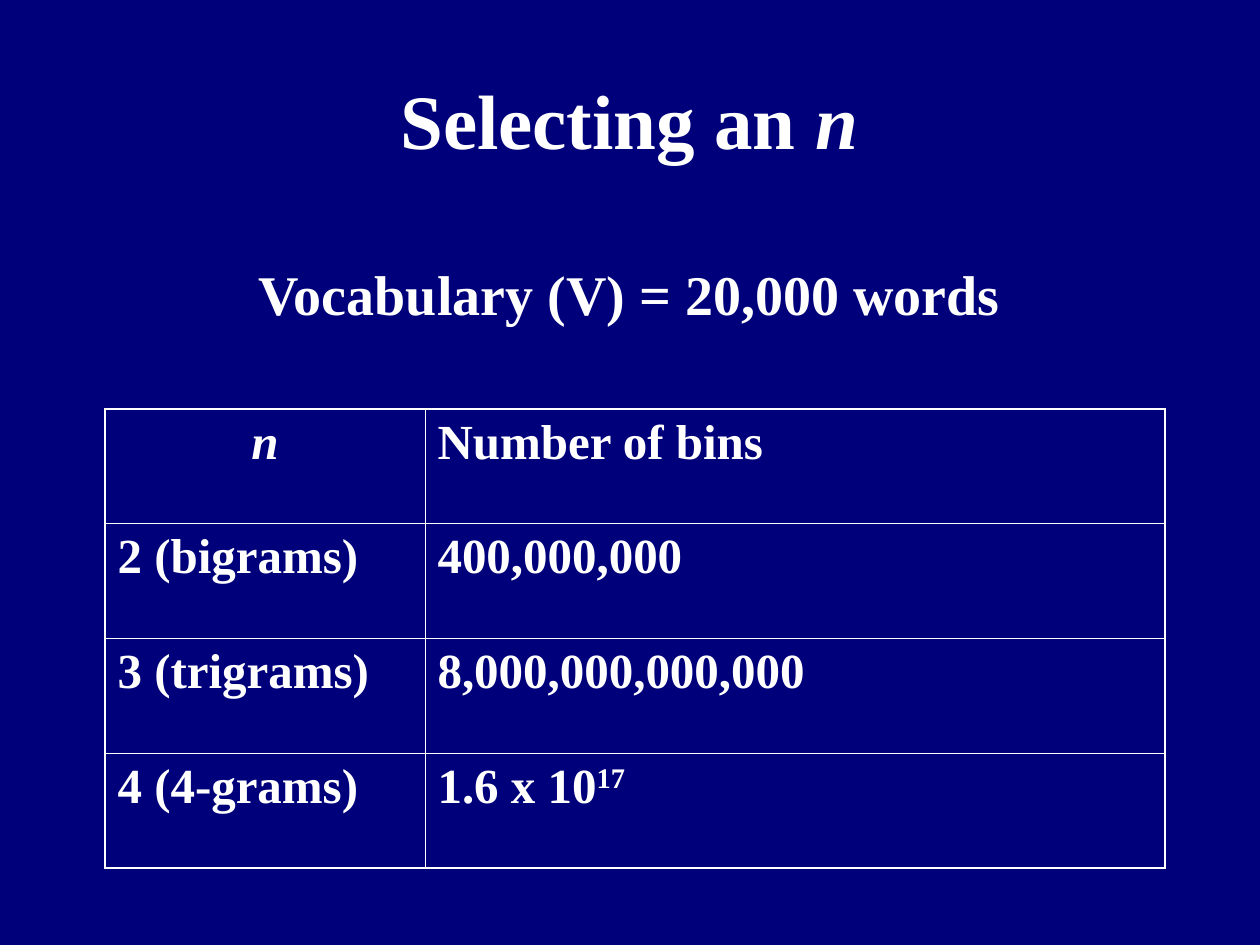
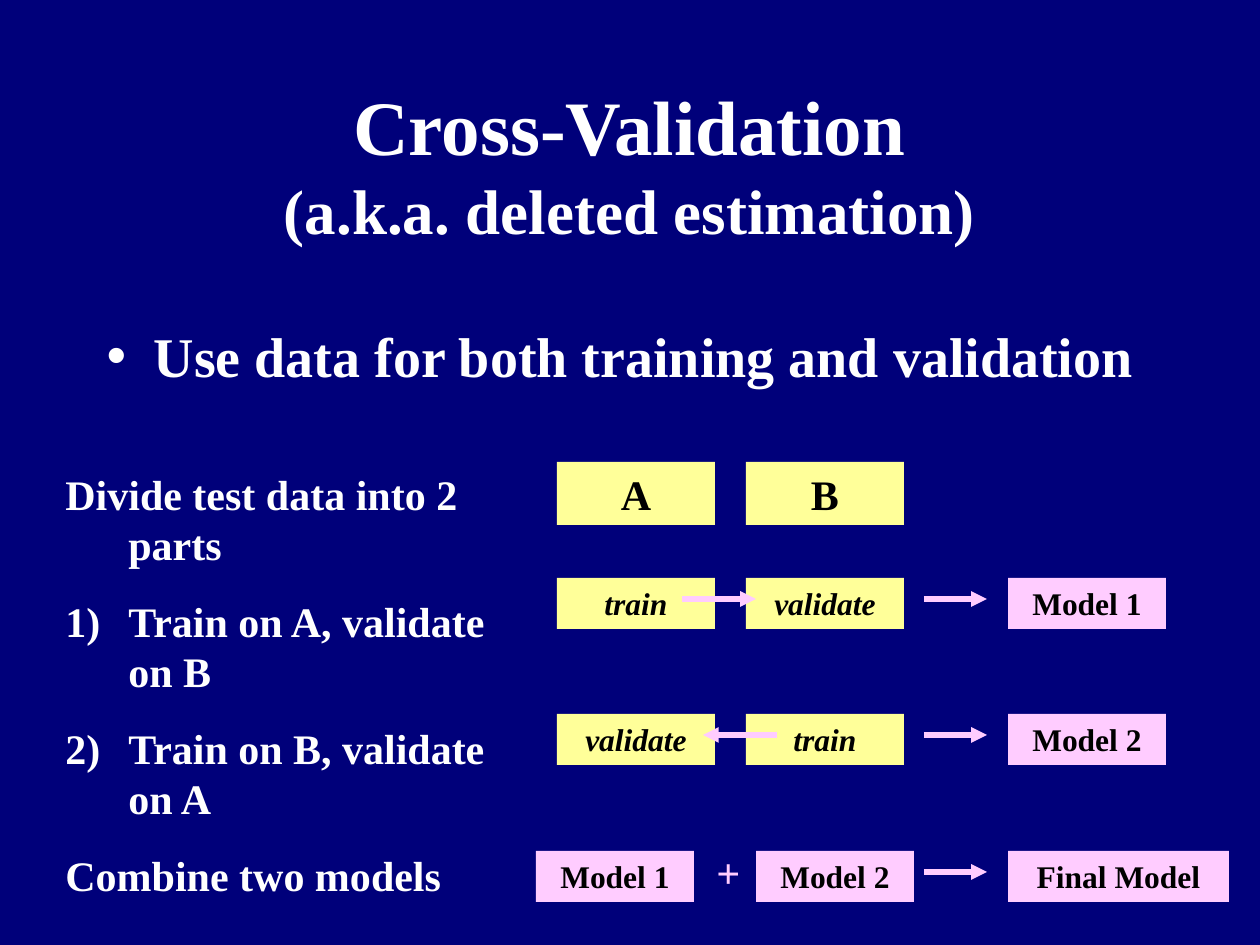
"""Build two slides on n-gram bins and cross-validation."""
from dataclasses import dataclass
from typing import Any

from lxml.etree import SubElement
from pptx import Presentation
from pptx.dml.color import RGBColor
from pptx.enum.shapes import MSO_CONNECTOR, MSO_SHAPE
from pptx.enum.text import MSO_ANCHOR, MSO_AUTO_SIZE, PP_ALIGN
from pptx.oxml.ns import qn
from pptx.util import Emu, Pt


@dataclass(frozen=True)
class Theme:
    font: str = "Times New Roman"
    navy: str = "00007A"
    white: str = "FFFFFF"
    black: str = "000000"
    yellow: str = "FFFF99"
    pink: str = "FFCCFF"
    head: int = 44
    sub: int = 36
    lead: int = 32
    cell: int = 28
    text: int = 24
    label: int = 18
    thick: float = 1.08
    thin: float = 0.45
    arrow: int = 3


LOOK = Theme()
SCALE = 914400 / 126


@dataclass(frozen=True)
class Run:
    text: str
    slant: bool = False
    raised: bool = False


@dataclass(frozen=True)
class Para:
    runs: tuple[Run, ...]
    size: int
    before: float = 0
    align: PP_ALIGN = PP_ALIGN.LEFT
    color: str = LOOK.white
    hang: int = 0
    mark: str = ""


@dataclass(frozen=True)
class Area:
    left: int
    top: int
    width: int
    height: int

    def emu(self) -> tuple[Emu, ...]:
        return tuple(map(px, (self.left, self.top, self.width, self.height)))


@dataclass(frozen=True)
class Box:
    area: Area
    text: str
    fill: str
    size: int = LOOK.label
    slant: bool = False


@dataclass(frozen=True)
class Arrow:
    start: int
    end: int
    top: int


def px(count: int) -> Emu:
    return Emu(round(count * SCALE))


def rgb(code: str) -> RGBColor:
    return RGBColor.from_string(code)


def plain(text: str, size: int, **style: Any) -> Para:
    return Para((Run(text),), size, **style)


def write(frame: Any, paras: list[Para]) -> None:
    frame.word_wrap = True
    for index, item in enumerate(paras):
        para = frame.add_paragraph() if index else frame.paragraphs[0]
        para.alignment = item.align
        para.space_before = Pt(item.before)
        font = para.font
        font.name, font.size, font.bold = LOOK.font, Pt(item.size), True
        font.color.rgb = rgb(item.color)
        if len({run.slant for run in item.runs}) == 1:
            font.italic = item.runs[0].slant
        for piece in item.runs:
            run = para.add_run()
            run.text = piece.text
            if piece.slant and len(item.runs) > 1:
                run.font.italic = True
            if piece.raised:
                run._r.get_or_add_rPr().set("baseline", "30000")
        if item.hang:
            indent(para, item)


def indent(para: Any, item: Para) -> None:
    props = para._p.get_or_add_pPr()
    props.set("marL", str(px(item.hang)))
    props.set("indent", str(-px(item.hang)))
    if item.mark == "1)":
        mark = props.makeelement(qn("a:buAutoNum"), {"type": "arabicParenR"})
    elif item.mark:
        mark = props.makeelement(qn("a:buChar"), {"char": item.mark})
    else:
        mark = props.makeelement(qn("a:buNone"), {})
    props.find(qn("a:defRPr")).addprevious(mark)


def place(holder: Any, area: Area, paras: list[Para], anchor: MSO_ANCHOR) -> None:
    holder.left, holder.top, holder.width, holder.height = area.emu()
    frame = holder.text_frame
    frame.auto_size, frame.vertical_anchor = MSO_AUTO_SIZE.NONE, anchor
    write(frame, paras)


def title(slide: Any, height: int, paras: list[Para]) -> None:
    place(slide.shapes.title, Area(94, 84, 1071, height), paras, MSO_ANCHOR.MIDDLE)


def note(slide: Any, area: Area, paras: list[Para]) -> None:
    frame = slide.shapes.add_textbox(*area.emu()).text_frame
    frame.auto_size = MSO_AUTO_SIZE.SHAPE_TO_FIT_TEXT
    write(frame, paras)


def draw_box(slide: Any, box: Box) -> None:
    shape = slide.shapes.add_shape(MSO_SHAPE.RECTANGLE, *box.area.emu())
    shape.shadow.inherit = False
    shape.fill.solid()
    shape.fill.fore_color.rgb = rgb(box.fill)
    shape.line.fill.background()
    frame = shape.text_frame
    frame.auto_size = MSO_AUTO_SIZE.SHAPE_TO_FIT_TEXT
    frame.vertical_anchor = MSO_ANCHOR.TOP
    write(frame, [Para((Run(box.text, box.slant),), box.size, box.size * 0.625,
                       PP_ALIGN.CENTER, LOOK.black)])


def draw_arrow(slide: Any, arrow: Arrow) -> None:
    line = slide.shapes.add_connector(
        MSO_CONNECTOR.STRAIGHT, px(arrow.start), px(arrow.top), px(arrow.end), px(arrow.top))
    line.line.color.rgb = rgb(LOOK.pink)
    line.line.width = Pt(LOOK.arrow)
    SubElement(line.line._get_or_add_ln(), qn("a:tailEnd"), type="triangle")
    SubElement(line._element.spPr, qn("a:effectLst"))


def border(cell: Any, widths: dict[str, float]) -> None:
    props = cell._tc.get_or_add_tcPr()
    for index, (side, width) in enumerate(widths.items()):
        line = props.makeelement(qn(f"a:ln{side}"), {"w": str(Pt(width))})
        fill = SubElement(line, qn("a:solidFill"))
        SubElement(fill, qn("a:srgbClr"), val=LOOK.white)
        props.insert(index, line)


def draw_grid(slide: Any, area: Area, widths: list[int], rows: list[tuple]) -> None:
    table = slide.shapes.add_table(len(rows), len(widths), *area.emu()).table
    table.first_row = table.horz_banding = False
    for column, width in zip(table.columns, widths):
        column.width = px(width)
    last, end = len(rows) - 1, len(widths) - 1
    for y, row in enumerate(rows):
        for x, runs in enumerate(row):
            cell = table.cell(y, x)
            cell.fill.background()
            align = PP_ALIGN.CENTER if runs[0].slant else PP_ALIGN.LEFT
            write(cell.text_frame, [Para(runs, LOOK.cell, 7, align)])
            edges = {"L": x == 0, "R": x == end, "T": y == 0, "B": y == last}
            border(cell, {side: LOOK.thick if outer else LOOK.thin
                          for side, outer in edges.items()})


def bins(deck: Any) -> None:
    slide = deck.slides.add_slide(deck.slide_layouts[5])
    title(slide, 231, [
        Para((Run("Selecting an "), Run("n", True)), LOOK.head, align=PP_ALIGN.CENTER),
        plain("Vocabulary (V) = 20,000 words", LOOK.lead, before=54, align=PP_ALIGN.CENTER),
    ])
    draw_grid(slide, Area(105, 409, 1060, 459), [320, 740], [
        ((Run("n", True),), (Run("Number of bins"),)),
        ((Run("2 (bigrams)"),), (Run("400,000,000"),)),
        ((Run("3 (trigrams)"),), (Run("8,000,000,000,000"),)),
        ((Run("4 (4-grams)"),), (Run("1.6 x 10"), Run("17", raised=True))),
    ])


def cross(deck: Any) -> None:
    slide = deck.slides.add_slide(deck.slide_layouts[1])
    title(slide, 158, [
        plain("Cross-Validation", LOOK.head, align=PP_ALIGN.CENTER),
        plain("(a.k.a. deleted estimation)", LOOK.sub, align=PP_ALIGN.CENTER),
    ])
    place(slide.placeholders[1], Area(94, 315, 1071, 94), [
        plain("Use data for both training and validation", LOOK.lead,
              before=8, hang=47, mark="•"),
    ], MSO_ANCHOR.TOP)
    steps = [("Divide test data into 2 parts", ""), ("Train on A, validate on B", "1)"),
             ("Train on B, validate on A", "1)"), ("Combine two models", "")]
    note(slide, Area(53, 462, 462, 445), [
        plain(text, LOOK.text, before=15, hang=63, mark=mark) for text, mark in steps])

    wide, high = 158, 51
    halves, result = (557, 746), 1008
    tops = (578, 714, 851)
    for left, text in zip(halves, "AB"):
        draw_box(slide, Box(Area(left, 462, wide, 63), text, LOOK.yellow, LOOK.text))
    for top, roles in zip(tops, (("train", "validate"), ("validate", "train"))):
        for left, role in zip(halves, roles):
            draw_box(slide, Box(Area(left, top, wide, high), role, LOOK.yellow, slant=True))
    models = [(result, tops[0], wide, "Model 1"), (result, tops[1], wide, "Model 2"),
              (536, tops[2], wide, "Model 1"), (756, tops[2], wide, "Model 2"),
              (result, tops[2], 221, "Final Model")]
    for left, top, width, text in models:
        draw_box(slide, Box(Area(left, top, width, high), text, LOOK.pink))
    note(slide, Area(704, 840, 63, 63),
         [plain("+", LOOK.text, before=15, color=LOOK.pink)])
    lines = [top + 21 for top in tops]
    arrows = [Arrow(682, 756, lines[0]), Arrow(777, 703, lines[1])]
    for arrow in arrows + [Arrow(924, 987, line) for line in lines]:
        draw_arrow(slide, arrow)


def main() -> None:
    deck = Presentation()
    deck.slide_width, deck.slide_height = px(1260), px(945)
    fill = deck.slide_master.background.fill
    fill.solid()
    fill.fore_color.rgb = rgb(LOOK.navy)
    bins(deck)
    cross(deck)
    deck.save("out.pptx")


if __name__ == "__main__":
    main()
